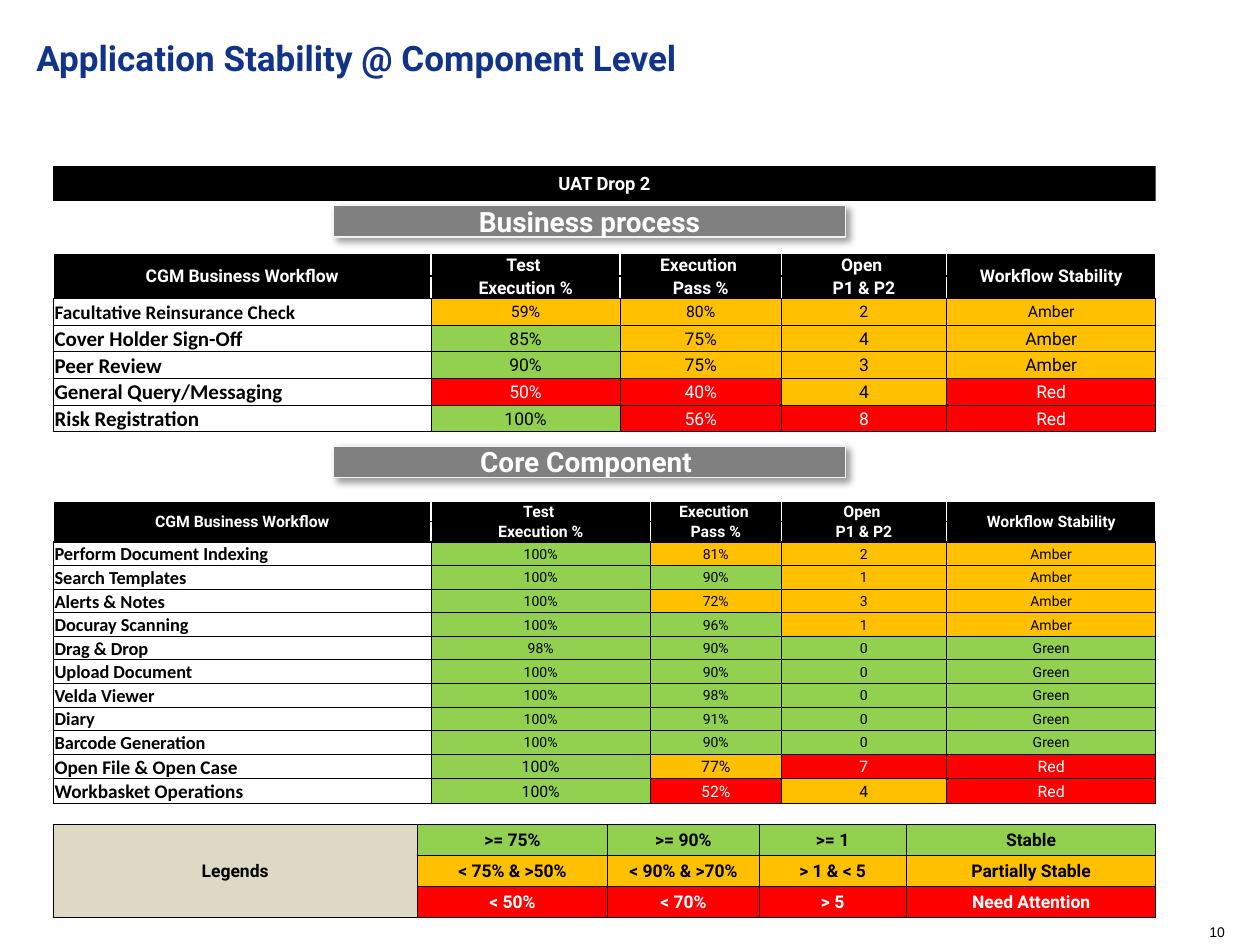
from lxml import etree
from pptx import Presentation
from pptx.dml.color import RGBColor
from pptx.enum.shapes import MSO_SHAPE
from pptx.enum.text import MSO_ANCHOR, PP_ALIGN
from pptx.oxml.ns import qn
from pptx.util import Cm, Pt

RECT = MSO_SHAPE.RECTANGLE
TOP, MIDDLE = MSO_ANCHOR.TOP, MSO_ANCHOR.MIDDLE
LEFT, CENTER = PP_ALIGN.LEFT, PP_ALIGN.CENTER

COLORS = {"navy": "113388", "black": "000000", "white": "FFFFFF",
          "gray": "808080", "edge": "F2F2F2", "beige": "DDD9C4",
          "G": "92D050", "A": "FFC000", "R": "FF0000"}

TABLE_LEFT, TABLE_WIDTH = 1.07, 22.23
TITLE = "Application Stability @ Component Level"
PAGE_NUMBER = "10"
DROP = "UAT Drop 2"
BANNERS = [("Business process", 4.14), ("Core Component ", 8.99)]

HEADER = [["CGM Business Workflow", "Test ", "Execution ", "Open ", "Workflow Stability"],
          ["", "Execution %", "Pass %", "P1 & P2", ""]]

# Each row: label, label size, values, status code of each value
PROCESS_ROWS = [
    ("Facultative Reinsurance Check", 11, ["59%", "80%", "2", "Amber"], "AAAA"),
    ("Cover Holder Sign-Off", 12, ["85%", "75%", "4", "Amber"], "GAAA"),
    ("Peer Review", 12, ["90%", "75%", "3", "Amber"], "GAAA"),
    ("General Query/Messaging", 12, ["50%", "40%", "4", "Red"], "RRAR"),
    ("Risk Registration", 12, ["100%", "56%", "8", "Red"], "GRRR"),
]
COMPONENT_ROWS = [
    ("Perform Document Indexing", 10.5, ["100%", "81%", "2", "Amber"], "GAAA"),
    ("Search Templates", 10.5, ["100%", "90%", "1", "Amber"], "GGAA"),
    ("Alerts & Notes", 10.5, ["100%", "72%", "3", "Amber"], "GAAA"),
    ("Docuray Scanning", 10.5, ["100%", "96%", "1", "Amber"], "GGAA"),
    ("Drag & Drop", 10.5, ["98%", "90%", "0", "Green"], "GGGG"),
    ("Upload Document", 10.5, ["100%", "90%", "0", "Green"], "GGGG"),
    ("Velda Viewer", 10.5, ["100%", "98%", "0", "Green"], "GGGG"),
    ("Diary", 10.5, ["100%", "91%", "0", "Green"], "GGGG"),
    ("Barcode Generation", 10.5, ["100%", "90%", "0", "Green"], "GGGG"),
    ("Open File & Open Case", 11, ["100%", "77%", "7", "Red"], "GARR"),
    ("Workbasket Operations", 11, ["100%", "52%", "4", "Red"], "GRAR"),
]
LEGEND_ROWS = [
    ("G", ["Legends", ">= 75%", ">= 90%", ">= 1", "Stable"]),
    ("A", ["", "< 75% & >50%", "< 90% & >70%", "> 1 & < 5", "Partially Stable"]),
    ("R", ["", "< 50%", "< 70%", "> 5", "Need Attention"]),
]
PROCESS = {"top": 5.11, "cols": [7.62, 3.81, 3.25, 3.33, 4.22],
           "heights": [0.44] * 2 + [0.53] * 5}
COMPONENT = {"top": 10.1, "cols": [7.62, 4.42, 2.64, 3.33, 4.22],
             "heights": [0.41] * 2 + [0.47] * 9 + [0.49] * 2}
LEGEND = {"top": 16.61, "cols": [7.34, 3.84, 3.05, 2.97, 5.03], "heights": [0.63] * 3}


def rgb(name):
    return RGBColor.from_string(COLORS[name])


def write(tf, text, size, color="black", bold=True, font="Roboto", align=CENTER):
    p = tf.paragraphs[0]
    p.alignment = align
    r = p.add_run()
    r.text = text
    for key, value in {"size": Pt(size), "bold": bold, "name": font}.items():
        setattr(r.font, key, value)
    r.font.color.rgb = rgb(color)


def set_borders(cell, colors, width):
    """Draw the left, right, top and bottom edges, in that order."""
    tcPr = cell._tc.get_or_add_tcPr()
    for i, (side, color) in enumerate(zip("LRTB", colors)):
        ln = etree.Element(qn(f"a:ln{side}"), w=str(Pt(width)))
        fill = etree.SubElement(ln, qn("a:solidFill"))
        etree.SubElement(fill, qn("a:srgbClr"), val=COLORS[color])
        tcPr.insert(i, ln)


def fill_cell(cell, text, size, fill=None, borders=("black",) * 4, width=0.5, **style):
    margins = {"margin_left": 0.03, "margin_right": 0.03, "margin_top": 0.03, "margin_bottom": 0}
    for key, value in margins.items():
        setattr(cell, key, Cm(value))
    cell.vertical_anchor = MIDDLE
    if fill:
        cell.fill.solid()
        cell.fill.fore_color.rgb = rgb(fill)
    else:
        cell.fill.background()
    set_borders(cell, borders, width)
    write(cell.text_frame, text, size, **style)


def add_grid(s, layout):
    cols, heights = layout["cols"], layout["heights"]
    table = s.shapes.add_table(len(heights), len(cols), Cm(TABLE_LEFT), Cm(layout["top"]),
                               Cm(TABLE_WIDTH), Cm(sum(heights))).table
    table.first_row = table.horz_banding = False
    for col, width in zip(table.columns, cols):
        col.width = Cm(width)
    for row, height in zip(table.rows, heights):
        row.height = Cm(height)
    return table


def add_stability_table(s, layout, rows, header_size):
    table = add_grid(s, layout)
    edges = [("white", "white", "white", "black"), ("white", "white", "black", "black")]
    for i, texts in enumerate(HEADER):
        for j, text in enumerate(texts):
            fill_cell(table.cell(i, j), text, header_size, "black", edges[i], 1, color="white")
    for j in (0, len(HEADER[0]) - 1):
        table.cell(0, j).merge(table.cell(1, j))
    for i, (label, size, values, codes) in enumerate(rows, len(HEADER)):
        fill_cell(table.cell(i, 0), label, size, font="Calibri", align=LEFT)
        for j, (value, code) in enumerate(zip(values, codes), 1):
            fill_cell(table.cell(i, j), value, int(size - 2), code, bold=False,
                      color="white" if code == "R" else "black")


def add_legend(s):
    table = add_grid(s, LEGEND)
    for i, (code, texts) in enumerate(LEGEND_ROWS):
        for j, text in enumerate(texts):
            fill_cell(table.cell(i, j), text, 10, code if j else "beige",
                      color="white" if j and code == "R" else "black")
    table.cell(0, 0).merge(table.cell(len(LEGEND_ROWS) - 1, 0))


def add_bar(s, text, size, fill, left, top, width, height):
    sp = s.shapes.add_shape(RECT, Cm(left), Cm(top), Cm(width), Cm(height))
    sp.shadow.inherit = False
    sp.fill.solid()
    sp.fill.fore_color.rgb = rgb(fill)
    sp.line.fill.background()
    sp.text_frame.vertical_anchor = MIDDLE
    write(sp.text_frame, text, size, "white")
    return sp


def add_banner(s, text, top):
    sp = add_bar(s, text, 16, "gray", 6.73, top, 10.31, 0.64)
    sp.line.color.rgb = rgb("edge")
    sp.line.width = Pt(0.75)
    effects = sp._element.spPr.find(qn("a:effectLst"))
    shadow = etree.SubElement(effects, qn("a:outerShdw"), blurRad=str(Pt(4)), dist=str(Pt(3)),
                              dir=str(45 * 60000), algn="tl", rotWithShape="0")
    color = etree.SubElement(shadow, qn("a:srgbClr"), val=COLORS["black"])
    etree.SubElement(color, qn("a:alpha"), val="40000")


def main():
    prs = Presentation()
    prs.slide_width, prs.slide_height = Cm(25.4), Cm(19.05)
    s = prs.slides.add_slide(prs.slide_layouts[5])

    title = s.shapes.title
    box = {"left": 0.48, "top": 0.61, "width": 20.9, "height": 2.03}
    for key, value in box.items():
        setattr(title, key, Cm(value))
    title.text_frame.vertical_anchor = TOP
    write(title.text_frame, TITLE, 20, "navy", align=LEFT)

    add_legend(s)
    number = s.shapes.add_textbox(Cm(24.13), Cm(18.49), Cm(1.12), Cm(0.61))
    number.text_frame.word_wrap = True
    write(number.text_frame, PAGE_NUMBER, 8, bold=False, font="Arial", align=LEFT)

    add_bar(s, DROP, 10.5, "black", TABLE_LEFT, 3.35, TABLE_WIDTH, 0.7)
    for text, top in BANNERS:
        add_banner(s, text, top)
    add_stability_table(s, PROCESS, PROCESS_ROWS, 10)
    add_stability_table(s, COMPONENT, COMPONENT_ROWS, 9)
    prs.save("out.pptx")


if __name__ == "__main__":
    main()
